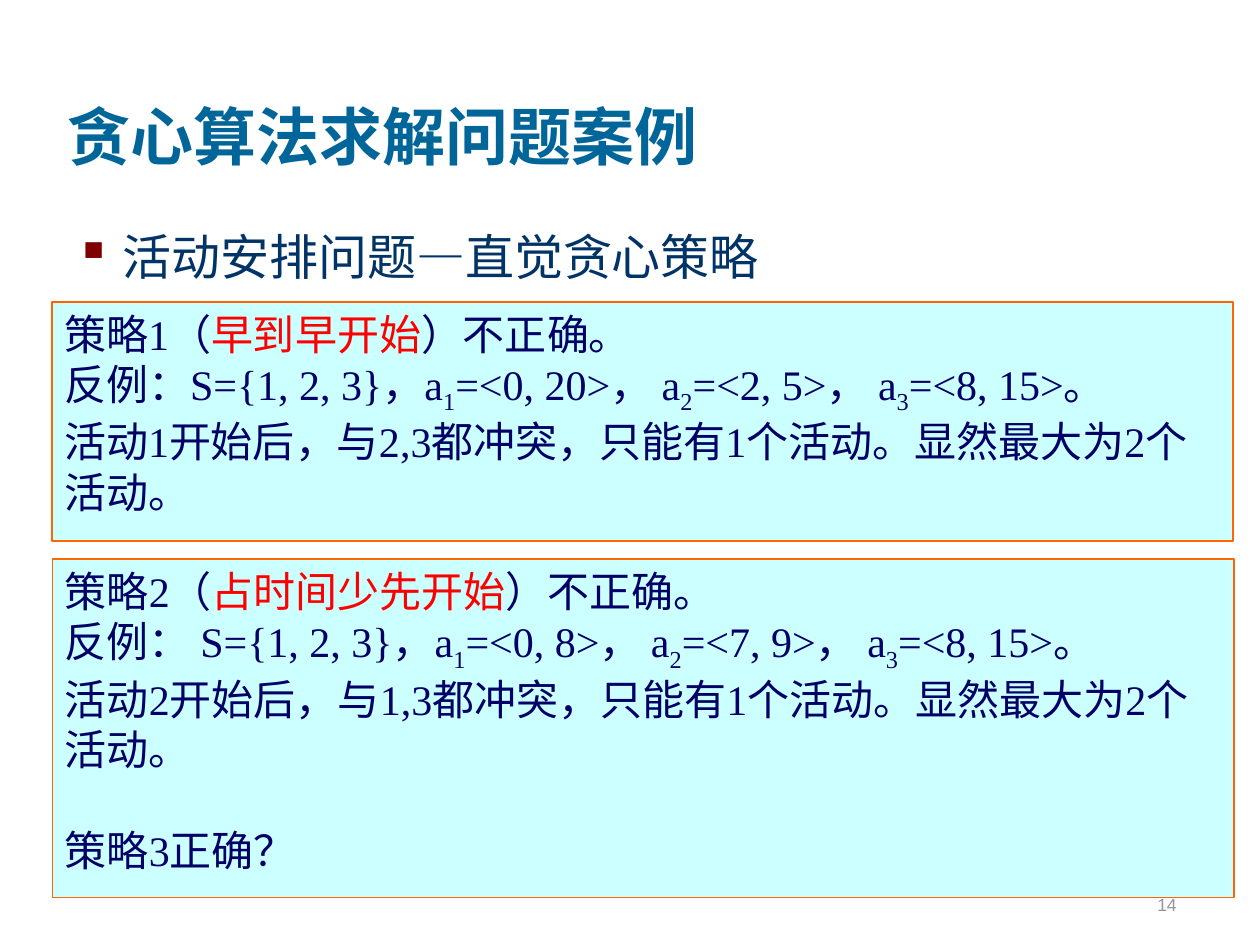
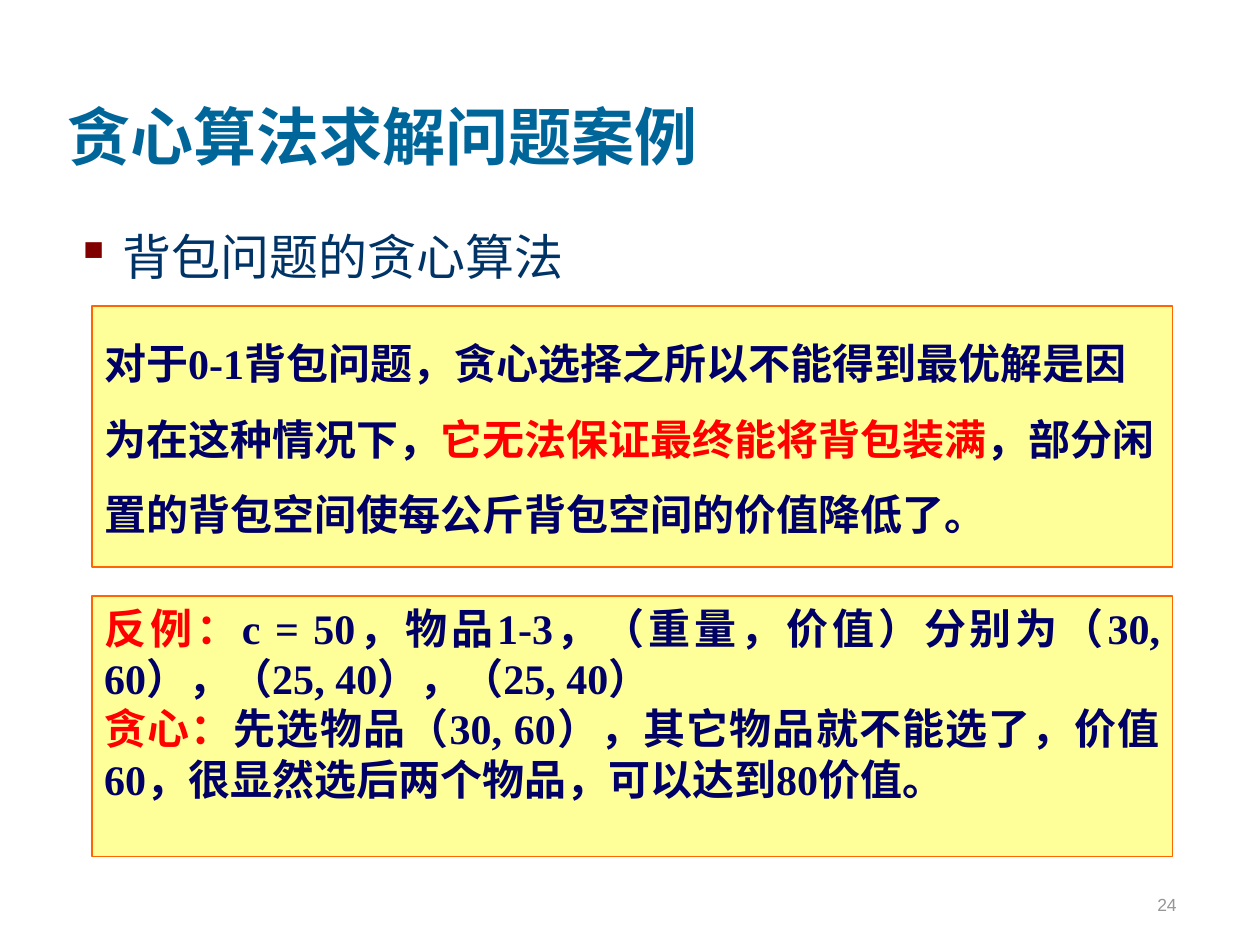
from dataclasses import dataclass

import lxml.etree
import pptx
import pptx.dml.color
import pptx.enum.shapes
import pptx.enum.text
import pptx.oxml.ns
import pptx.util

Pt = pptx.util.Pt
Align = pptx.enum.text.PP_ALIGN
Anchor = pptx.enum.text.MSO_ANCHOR

COLORS = {
    "title": "006699",
    "topic": "003366",
    "bullet": "800000",
    "number": "969696",
    "text": "000066",
    "emphasis": "FF0000",
    "border": "FF6600",
    "cyan": "CCFFFF",
    "yellow": "FFFF99",
}
SERIF = "Times New Roman"
TITLE = "贪心算法求解问题案例"


@dataclass(frozen=True)
class Area:
    left: float
    top: float
    width: float
    height: float

    def lengths(self) -> list:
        return [Pt(value) for value in (self.left, self.top, self.width, self.height)]


@dataclass(frozen=True)
class Style:
    size: float
    color: str
    font: str = SERIF
    bold: bool = False


@dataclass(frozen=True)
class Piece:
    text: str
    color: str = "text"
    subscript: bool = False


@dataclass(frozen=True)
class Line:
    pieces: list[Piece]
    space_before: float = 0


@dataclass(frozen=True)
class Panel:
    area: Area
    fill: str
    lines: list[Line]
    bold: bool = False
    spacing: float = 1.0
    align: Align = Align.LEFT


@dataclass(frozen=True)
class Page:
    topic: str
    number: int
    panels: list[Panel]


TITLE_AREA = Area(31.5, 12.5, 612, 90)
TOPIC_AREA = Area(36, 126, 643.5, 351)
NUMBER_AREA = Area(530, 490.5, 149.5, 36)
TITLE_STYLE = Style(36, "title", bold=True)
TOPIC_STYLE = Style(28, "topic")
NUMBER_STYLE = Style(10, "number", "Arial")


def rgb(name: str) -> pptx.dml.color.RGBColor:
    return pptx.dml.color.RGBColor.from_string(COLORS[name])


def apply_style(paragraph, style: Style) -> None:
    font = paragraph.font
    font.size, font.name, font.bold = Pt(style.size), style.font, style.bold
    font.color.rgb = rgb(style.color)


def add_label(slide, area: Area, text: str, style: Style, anchor=Anchor.TOP, align=Align.LEFT):
    frame = slide.shapes.add_textbox(*area.lengths()).text_frame
    frame.word_wrap = True
    frame.vertical_anchor = anchor
    paragraph = frame.paragraphs[0]
    paragraph.text = text
    paragraph.alignment = align
    apply_style(paragraph, style)
    return paragraph


def add_bullet(paragraph, indent: float) -> None:
    properties = paragraph._p.get_or_add_pPr()
    properties.set("marL", str(Pt(indent)))
    properties.set("indent", str(-Pt(indent)))
    tag = pptx.oxml.ns.qn
    color = lxml.etree.Element(tag("a:buClr"))
    lxml.etree.SubElement(color, tag("a:srgbClr"), val=COLORS["bullet"])
    character = lxml.etree.Element(tag("a:buChar"), char="▪")
    properties.insert(0, color)
    properties.insert(1, character)


def add_panel(slide, panel: Panel) -> None:
    shape = slide.shapes.add_shape(
        pptx.enum.shapes.MSO_SHAPE.RECTANGLE, *panel.area.lengths())
    shape.shadow.inherit = False
    shape.fill.solid()
    shape.fill.fore_color.rgb = rgb(panel.fill)
    shape.line.color.rgb = rgb("border")
    shape.line.width = Pt(1)
    frame = shape.text_frame
    frame.word_wrap = True
    frame.vertical_anchor = Anchor.TOP
    for index, line in enumerate(panel.lines):
        paragraph = frame.add_paragraph() if index else frame.paragraphs[0]
        paragraph.alignment = panel.align
        paragraph.line_spacing = panel.spacing
        if line.space_before:
            paragraph.space_before = Pt(line.space_before)
        apply_style(paragraph, Style(24, "text", bold=panel.bold))
        for piece in line.pieces:
            run = paragraph.add_run()
            run.text = piece.text
            run.font.color.rgb = rgb(piece.color)
            if piece.subscript:
                run._r.get_or_add_rPr().set("baseline", "-25000")


def strategy_lines(number: int, name: str, opening: str, intervals: list[str],
                   conflicts: str) -> list[Line]:
    """State why a strategy fails, with its counterexample activities."""
    example = [Piece(f"{opening}S={{1, 2, 3}}，a")]
    for index, interval in enumerate(intervals, start=1):
        ending = "。" if index == len(intervals) else "， a"
        example += [Piece(str(index), subscript=True), Piece(f"=<{interval}>{ending}")]
    return [
        Line([Piece(f"策略{number}（"), Piece(name, "emphasis"), Piece("）不正确。")]),
        Line(example),
        Line([Piece(f"活动{number}开始后，与{conflicts}都冲突，"
                    "只能有1个活动。显然最大为2个活动。")]),
    ]


def add_page(presentation, page: Page) -> None:
    slide = presentation.slides.add_slide(presentation.slide_layouts[6])
    add_label(slide, TITLE_AREA, TITLE, TITLE_STYLE, Anchor.BOTTOM)
    topic = add_label(slide, TOPIC_AREA, page.topic, TOPIC_STYLE)
    add_bullet(topic, 27)
    add_label(slide, NUMBER_AREA, str(page.number), NUMBER_STYLE, Anchor.BOTTOM, Align.RIGHT)
    for panel in page.panels:
        add_panel(slide, panel)


PAGES = [
    Page("活动安排问题—直觉贪心策略", 14, [
        Panel(Area(29.5, 172.5, 675, 136.5), "cyan", strategy_lines(
            1, "早到早开始", "反例：", ["0, 20", "2, 5", "8, 15"], "2,3")),
        Panel(Area(30, 319.5, 675, 193.5), "cyan", strategy_lines(
            2, "占时间少先开始", "反例： ", ["0, 8", "7, 9", "8, 15"], "1,3")
            + [Line([Piece("策略3正确？")], space_before=28.8)]),
    ]),
    Page("背包问题的贪心算法", 24, [
        Panel(Area(52.5, 175, 617.5, 149), "yellow", [
            Line([
                Piece("对于0-1背包问题，贪心选择之所以不能得到最优解是因为在这种情况下，"),
                Piece("它无法保证最终能将背包装满", "emphasis"),
                Piece("，部分闲置的背包空间使每公斤背包空间的价值降低了。"),
            ]),
        ], bold=True, spacing=1.5),
        Panel(Area(52.5, 340.5, 617.5, 149), "yellow", [
            Line([
                Piece("反例：", "emphasis"),
                Piece("c = 50，物品1-3，（重量，价值）分别为（30, 60），（25, 40），（25, 40）"),
            ]),
            Line([
                Piece("贪心：", "emphasis"),
                Piece("先选物品（30, 60），其它物品就不能选了，价值60，"
                      "很显然选后两个物品，可以达到80价值。"),
            ]),
        ], bold=True, align=Align.JUSTIFY),
    ]),
]


def main() -> None:
    presentation = pptx.Presentation()
    presentation.slide_width, presentation.slide_height = Pt(720), Pt(540)
    for page in PAGES:
        add_page(presentation, page)
    presentation.save("out.pptx")


if __name__ == "__main__":
    main()
